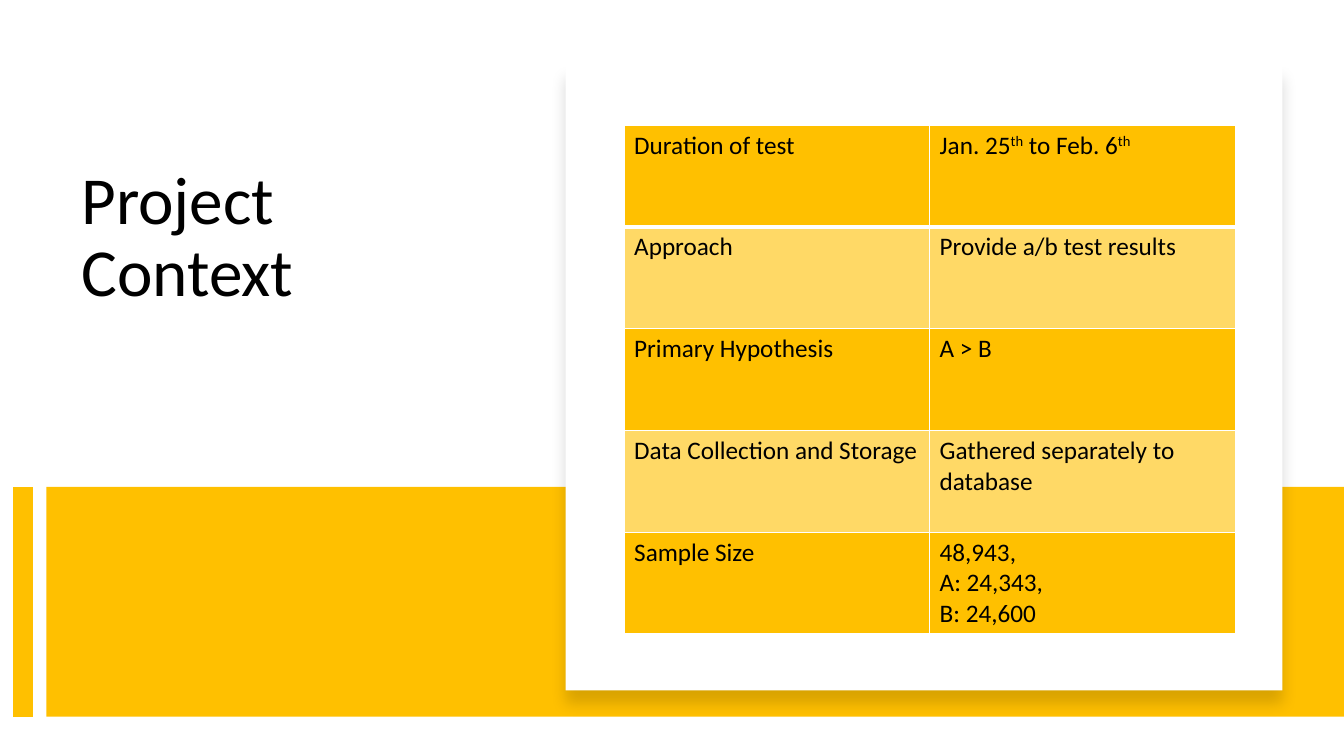
from lxml import etree
from pptx import Presentation
from pptx.dml.color import RGBColor
from pptx.enum.shapes import MSO_CONNECTOR, MSO_SHAPE
from pptx.enum.text import MSO_ANCHOR
from pptx.oxml.ns import qn
from pptx.util import Inches, Pt

RECT = MSO_SHAPE.RECTANGLE
STRAIGHT = MSO_CONNECTOR.STRAIGHT
TOP = MSO_ANCHOR.TOP

GOLD = RGBColor(0xFF, 0xC0, 0x00)
LIGHT_GOLD = RGBColor(0xFF, 0xD9, 0x66)
WHITE = RGBColor(0xFF, 0xFF, 0xFF)
BLACK = RGBColor(0x00, 0x00, 0x00)
FONT = "Calibri"

# Content: each row is a label and its paragraphs; "^" toggles superscript
TITLE = "Project Context"
ROWS = [
    ("Duration of test", ["Jan. 25^th^ to Feb. 6^th"]),
    ("Approach", ["Provide a/b test results"]),
    ("Primary Hypothesis", ["A > B"]),
    ("Data Collection and Storage", ["Gathered separately to database"]),
    ("Sample Size", ["48,943, ", "A: 24,343, ", "B: 24,600"]),
]

# Layout in inches
W, H = 13.33, 7.5
BAND_X, BAND_Y, BAND_H = 0.46, 4.83, 2.28
STRIPE_X = BAND_X / 2
CARD = (5.61, 0.64, 7.11, 6.21)
TABLE_X, TABLE_Y = 6.19, 1.24
COL_W, ROW_H = 3.03, 1.01


def add_rect(x, y, w, h, color):
    sp = slide.shapes.add_shape(RECT, Inches(x), Inches(y), Inches(w), Inches(h))
    sp.shadow.inherit = False
    sp.fill.solid()
    sp.fill.fore_color.rgb = color
    sp.line.fill.background()
    return sp


def add_solid(parent, color, alpha=None):
    clr = etree.SubElement(parent, qn("a:srgbClr"), val=str(color))
    if alpha:
        etree.SubElement(clr, qn("a:alpha"), val=str(alpha * 1000))


def set_border(cell, side, width):
    ln = etree.SubElement(cell._tc.get_or_add_tcPr(), qn("a:ln" + side),
                          w=str(Pt(width)))
    add_solid(etree.SubElement(ln, qn("a:solidFill")), WHITE)


def fill_cell(cell, paragraphs, color, row):
    for side in "LRTB":
        thick = (side == "B" and row == 0) or (side == "T" and row == 1)
        set_border(cell, side, 3 if thick else 1)
    cell.fill.solid()
    cell.fill.fore_color.rgb = color
    tf = cell.text_frame
    for i, text in enumerate(paragraphs):
        p = tf.add_paragraph() if i else tf.paragraphs[0]
        style(p, 18)
        for j, part in enumerate(text.split("^")):
            r = p.add_run()
            r.text = part
            if j % 2:
                r._r.get_or_add_rPr().set("baseline", "30000")


def style(p, size):
    p.font.name = FONT
    p.font.size = Pt(size)
    p.font.bold = False
    p.font.color.rgb = BLACK


prs = Presentation()
prs.slide_width, prs.slide_height = Inches(W), Inches(H)
slide = prs.slides.add_slide(prs.slide_layouts[6])

# Title
tf = slide.shapes.add_textbox(Inches(0.71), Inches(1.6), Inches(4.15),
                              Inches(2.94)).text_frame
tf.word_wrap = True
tf.vertical_anchor = TOP
p = tf.paragraphs[0]
p.text = TITLE
p.line_spacing = 0.9
style(p, 48)

# Gold band and stripe
add_rect(BAND_X, BAND_Y, W - BAND_X, BAND_H, GOLD)
stripe = slide.shapes.add_connector(STRAIGHT, Inches(STRIPE_X), Inches(BAND_Y),
                                    Inches(STRIPE_X), Inches(BAND_Y + BAND_H))
stripe.line.color.rgb = GOLD
stripe.line.width = Pt(14)
etree.SubElement(stripe._element.spPr, qn("a:effectLst"))

# White card with a soft shadow below
card = add_rect(*CARD, WHITE)
shadow = etree.SubElement(card._element.spPr.find(qn("a:effectLst")),
                          qn("a:outerShdw"), blurRad=str(Pt(11)),
                          dist=str(Pt(10)), dir=str(90 * 60000))
add_solid(shadow, BLACK, alpha=15)

# Context table
table = slide.shapes.add_table(len(ROWS), 2, Inches(TABLE_X), Inches(TABLE_Y),
                               Inches(2 * COL_W), Inches(len(ROWS) * ROW_H)).table
table.first_row = table.horz_banding = False
for col in table.columns:
    col.width = Inches(COL_W)
for i, (label, details) in enumerate(ROWS):
    table.rows[i].height = Inches(ROW_H)
    color = LIGHT_GOLD if i % 2 else GOLD
    fill_cell(table.cell(i, 0), [label], color, i)
    fill_cell(table.cell(i, 1), details, color, i)

prs.save("out.pptx")
